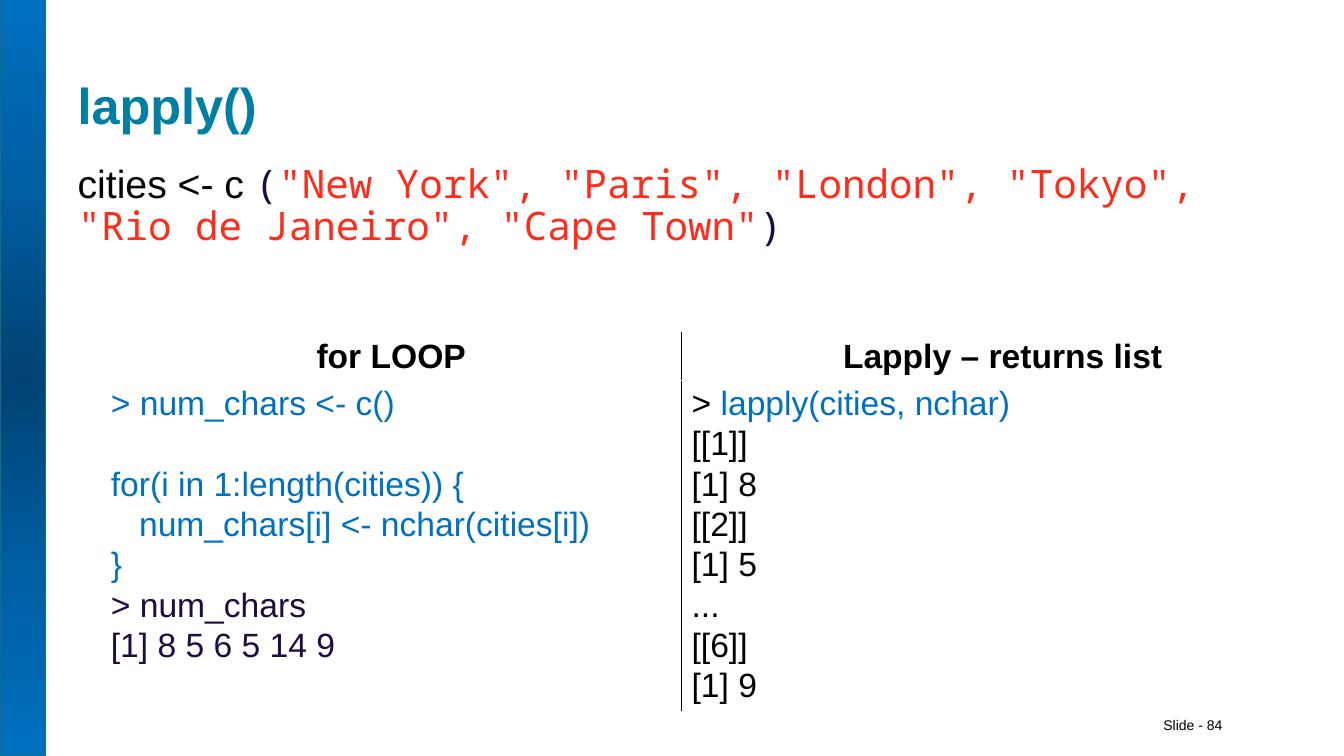
from pptx import Presentation
from pptx.dml.color import RGBColor
from pptx.enum.shapes import MSO_SHAPE as Shape
from pptx.enum.text import MSO_ANCHOR as Anchor, MSO_AUTO_SIZE as AutoSize, PP_ALIGN as Align
from pptx.oxml import parse_xml
from pptx.oxml.ns import nsdecls, qn
from pptx.util import Inches, Pt

COLORS = {
    "black": "000000", "title": "007FA3", "code": "0070C0", "dark": "1E0B40", "string": "FF2C1B",
    "bar_edge": "1A6C7C", "bar_inner": "004272", "bar_middle": "005EA2", "bar_outer": "0070C0",
}
SANS, MONO = "Arial", "Noto Sans Mono"

LOOP_LINES = [
    dict(spans=[("> num_chars <- c()", "code")]),
    dict(spans=[("for(i in 1:length(cities)) {", "code")], before=30.8),
    dict(spans=[("num_chars[i] <- nchar(cities[i])", "code")], indent=0.28),
    dict(spans=[("}", "code")]),
    dict(spans=[("> num_chars", "dark")]),
    dict(spans=[("[1] 8 5 6 5 14 9", "dark")]),
]
LAPPLY_OUTPUT = ["[[1]]", "[1] 8", "[[2]]", "[1] 5", "...", "[[6]]", "[1] 9"]
LAPPLY_LINES = [dict(spans=[("> ", "black"), ("lapply(cities, nchar)", "code")])]
LAPPLY_LINES += [dict(spans=[(line, "black")]) for line in LAPPLY_OUTPUT]


def write(para, spans, size=24, bold=False, align=Align.LEFT, before=0, indent=0, spacing=1.0):
    """Fill a paragraph with spans of (text, colour name, optional font)."""
    para.alignment = align
    para.space_before = Pt(before)
    para.line_spacing = spacing
    properties = para._p.get_or_add_pPr()
    properties.set("marL", str(Inches(indent)))
    properties.set("indent", "0")
    properties.append(parse_xml(f"<a:buNone {nsdecls('a')}/>"))
    for text, color, *font in spans:
        span = para.add_run()
        span.text = text
        span.font.name = font[0] if font else SANS
        span.font.size = Pt(size)
        span.font.bold = bold
        span.font.color.rgb = RGBColor.from_string(COLORS[color])


def place(shape, left, top, width, height):
    shape.left, shape.top, shape.width, shape.height = map(Inches, (left, top, width, height))


def set_frame(frame, anchor):
    frame.word_wrap = True
    frame.auto_size = AutoSize.NONE
    frame.vertical_anchor = anchor
    frame.margin_left = frame.margin_right = Inches(0.1)
    frame.margin_top = frame.margin_bottom = Inches(0.1)
    return frame.paragraphs[0]


def add_side_bar(page, left, top, width, height):
    bar = page.shapes.add_shape(Shape.RECTANGLE, *map(Inches, (left, top, width, height)))
    bar.shadow.inherit = False
    bar.line.color.rgb = RGBColor.from_string(COLORS["bar_edge"])
    bar.line.width = Pt(0.75)
    stops = "".join(
        f'<a:gs pos="{position}"><a:srgbClr val="{COLORS[name]}"/></a:gs>'
        for position, name in [(0, "bar_inner"), (50000, "bar_middle"), (100000, "bar_outer")])
    gradient = parse_xml(
        f'<a:gradFill {nsdecls("a")} rotWithShape="1"><a:gsLst>{stops}</a:gsLst>'
        '<a:path path="circle"><a:fillToRect l="50000" t="50000" r="50000" b="50000"/></a:path>'
        '</a:gradFill>')
    bar._element.spPr.find(qn("a:prstGeom")).addnext(gradient)


def add_title(page, *box):
    title = page.shapes.title
    place(title, *box)
    write(set_frame(title.text_frame, Anchor.BOTTOM), [("lapply()", "title")], size=36, bold=True)


def add_cities(page, *box):
    body = page.placeholders[1]
    place(body, *box)
    cities = '"New York", "Paris", "London", "Tokyo", "Rio de Janeiro", "Cape Town"'
    write(set_frame(body.text_frame, Anchor.TOP),
          [("cities <- c ", "black"), ("(", "dark", MONO), (cities, "string", MONO), (")", "dark", MONO)],
          size=28, before=15, spacing=0.9)


def draw_border(cell, side):
    line = parse_xml(
        f'<a:{side} {nsdecls("a")} w="12700"><a:solidFill><a:srgbClr val="{COLORS["black"]}"/>'
        f'</a:solidFill></a:{side}>')
    cell._tc.get_or_add_tcPr().insert(0, line)


def add_comparison(page, left, top, width, height):
    header_height = 0.46
    table = page.shapes.add_table(2, 2, *map(Inches, (left, top, width, height))).table
    table.first_row = table.horz_banding = False
    table.rows[0].height = Inches(header_height)
    table.rows[1].height = Inches(height - header_height)
    columns = [
        ("lnR", dict(spans=[("for LOOP", "black")]), LOOP_LINES),
        ("lnL", dict(spans=[("Lapply – returns list", "black")], indent=0.61, before=2), LAPPLY_LINES),
    ]
    for column, (side, heading, lines) in enumerate(columns):
        header, content = table.cell(0, column), table.cell(1, column)
        for cell in (header, content):
            cell.fill.background()
            draw_border(cell, side)
        write(header.text_frame.paragraphs[0], **heading, bold=True, align=Align.CENTER)
        frame = content.text_frame
        for number, line in enumerate(lines):
            para = frame.add_paragraph() if number else frame.paragraphs[0]
            write(para, **{"before": 2, **line})


def add_slide_number(page, *box):
    label = page.shapes.add_textbox(*map(Inches, box))
    label.text_frame.word_wrap = False
    write(label.text_frame.paragraphs[0], [("Slide - 84", "black")], size=10)


def main():
    deck = Presentation()
    deck.slide_width, deck.slide_height = Inches(13.33), Inches(7.5)
    page = deck.slides.add_slide(deck.slide_layouts[1])
    add_side_bar(page, 0, 0, 0.45, 7.5)
    add_title(page, 0.67, 0.24, 12, 1.2)
    add_cities(page, 0.67, 1.53, 12.18, 4.95)
    add_comparison(page, 1, 3.3, 11.52, 3.75)
    add_slide_number(page, 11.44, 7.06, 0.81, 0.27)
    deck.save("out.pptx")


if __name__ == "__main__":
    main()
